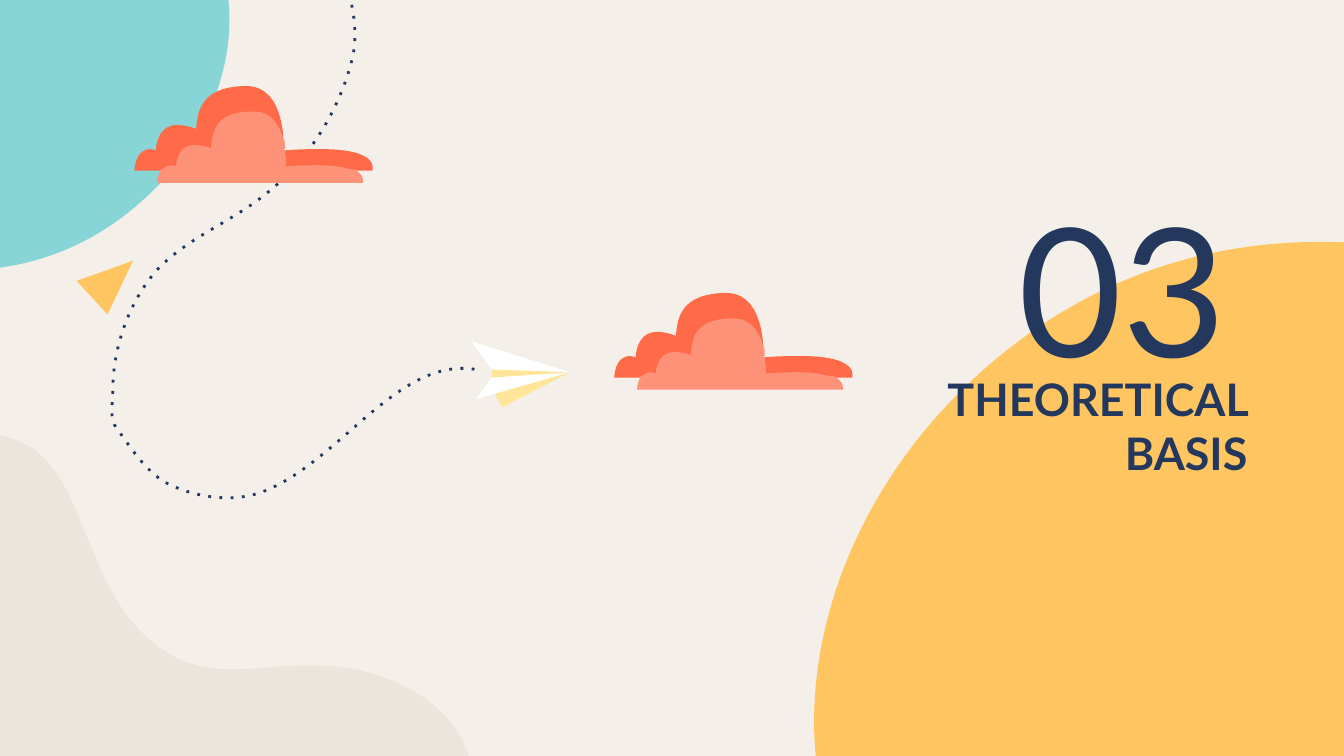
from lxml.etree import SubElement
from pptx import Presentation
from pptx.dml.color import RGBColor
from pptx.enum.dml import MSO_LINE
from pptx.enum.text import MSO_ANCHOR, PP_ALIGN
from pptx.oxml.ns import qn
from pptx.util import Pt

PX = 9144  # 100 px to the inch
SAND, GREY, YELLOW, TEAL = "F4F0E9", "EBE6DD", "FFC561", "87D5D6"
NAVY, CORAL, SALMON = "23385C", "FF6B48", "FD9279"
WHITE, CREAM = "FFFFFF", "FFE599"


def color(hex_value):
    return RGBColor.from_string(hex_value)


def draw(contours, fill=None, dx=0, dy=0):
    """Outline of (x, y) lines and (x1, y1, x2, y2, x, y) curves; open if unfilled."""
    builder = None
    for start, *segments in contours:
        x, y = start[0] + dx, start[1] + dy
        if builder is None:
            builder = slide.shapes.build_freeform(x, y, scale=PX)
        else:
            builder.move_to(x, y)
        points = [(s[i] + dx, s[i + 1] + dy) for s in segments for i in range(0, len(s), 2)]
        builder.add_line_segments(points, close=fill is not None)
    shape = builder.convert_to_shape()
    shape.shadow.inherit = False

    # Join each three points of a curve into one Bezier segment
    lines = iter(list(shape.element.iter(qn("a:lnTo"))))
    for segment in (s for contour in contours for s in contour[1:]):
        first = next(lines)
        if len(segment) == 6:
            curve = SubElement(first.getparent(), qn("a:cubicBezTo"))
            first.addprevious(curve)
            for line in (first, next(lines), next(lines)):
                curve.append(line[0])
                line.getparent().remove(line)

    if fill:
        shape.fill.solid()
        shape.fill.fore_color.rgb = color(fill)
        shape.line.fill.background()
    else:
        shape.fill.background()
    return shape


presentation = Presentation()
presentation.slide_width = 1000 * PX
presentation.slide_height = int(562.5 * PX)
slide = presentation.slides.add_slide(presentation.slide_layouts[6])
slide.background.fill.solid()
slide.background.fill.fore_color.rgb = color(SAND)

# Background blobs and the small triangle
draw([[(0, 324), (64, 335, 56, 423, 107, 472), (129, 493, 150, 498, 172, 498),
       (190, 498, 209, 495, 229, 495), (248, 495, 268, 497, 291, 506),
       (322, 519, 342, 539, 349, 563), (0, 563)]], GREY)
draw([[(99, 194), (57, 209), (80, 234)]], YELLOW)
draw([[(983, 180), (1005, 180, 1027, 182, 1046, 184), (1056, 186, 1066, 188, 1076, 190),
       (1076, 563), (607, 563), (598, 471, 637, 359, 732, 275),
       (816, 201, 906, 180, 983, 180)]], YELLOW)
draw([[(-27, 201), (-39, 201, -50, 200, -60, 198), (-65, 198, -70, 197, -75, 195),
       (-75, 0), (170, 0), (175, 48, 155, 107, 104, 151), (61, 189, 13, 201, -27, 201)]], TEAL)

# Dotted flight path
trail = draw([[(244, -52), (255, -20, 271, 15, 261, 48), (251, 85, 228, 121, 197, 145),
               (171, 166, 137, 178, 115, 203), (95, 227, 84, 260, 84, 290),
               (84, 300, 81, 312, 87, 319), (98, 334, 108, 350, 123, 359),
               (146, 371, 177, 375, 200, 364), (256, 340, 300, 261, 359, 276)]])
trail.line.color.rgb = color(NAVY)
trail.line.width = Pt(1.5)
trail.line.dash_style = MSO_LINE.ROUND_DOT
for dash in trail.element.iter(qn("a:prstDash")):
    dash.set("val", "dot")

# Title and section number
for text, left, top, width, height, size, bold in (
        ("THEORETICAL BASIS", 682, 252, 256, 129, 24, True),
        ("03", 713, 163, 209, 100, 96, False)):
    box = slide.shapes.add_textbox(left * PX, top * PX, width * PX, height * PX)
    frame = box.text_frame
    frame.word_wrap = True
    frame.vertical_anchor = MSO_ANCHOR.MIDDLE
    frame.margin_left = frame.margin_right = frame.margin_top = frame.margin_bottom = 10 * PX
    frame.text = text
    paragraph = frame.paragraphs[0]
    paragraph.alignment = PP_ALIGN.RIGHT
    font = paragraph.runs[0].font
    font.name, font.size, font.bold = "Lato", Pt(size), bold
    font.color.rgb = color(NAVY)

# Clouds: back, base and front, drawn twice
cloud = (
    (CORAL, [[(183, 64), (183, 64, 182, 64, 182, 64), (150, 65, 147, 82, 146, 96),
              (146, 96, 139, 93, 132, 93), (125, 93, 117, 97, 116, 112),
              (116, 112, 114, 111, 112, 111), (107, 111, 101, 114, 100, 127),
              (277, 127), (277, 127, 284, 111, 239, 111), (231, 111, 222, 111, 211, 112),
              (211, 112, 214, 64, 183, 64)]]),
    (SALMON, [[(211, 102), (211, 107, 211, 111, 211, 111), (211, 111, 212, 111, 212, 111),
               (212, 108, 212, 105, 211, 102)],
              [(120, 126), (119, 128, 117, 131, 117, 136), (270, 136),
               (270, 136, 272, 130, 263, 126)]]),
    (SALMON, [[(188, 83), (160, 83, 158, 98, 157, 110), (157, 110, 151, 108, 145, 108),
               (139, 108, 132, 111, 131, 124), (131, 124, 129, 123, 128, 123),
               (125, 123, 122, 124, 120, 127), (263, 127), (258, 125, 250, 123, 237, 123),
               (230, 123, 222, 123, 213, 124), (213, 124, 213, 119, 212, 112),
               (212, 112, 211, 112, 211, 112), (211, 112, 211, 109, 211, 104),
               (208, 93, 202, 83, 189, 83)]]),
)
for dx, dy in ((357, 154), (0, 0)):
    for fill, contours in cloud:
        draw(contours, fill, dx, dy)

# Paper plane: four facets that meet at the nose
nose = (424, 277)
for fill, start, end in ((WHITE, (351, 254), (368, 278)), (CREAM, (364, 286), (374, 303)),
                         (WHITE, (368, 278), (354, 297)), (CREAM, (366, 275), (366, 281))):
    draw([[start, nose, end]], fill)

presentation.save("out.pptx")
